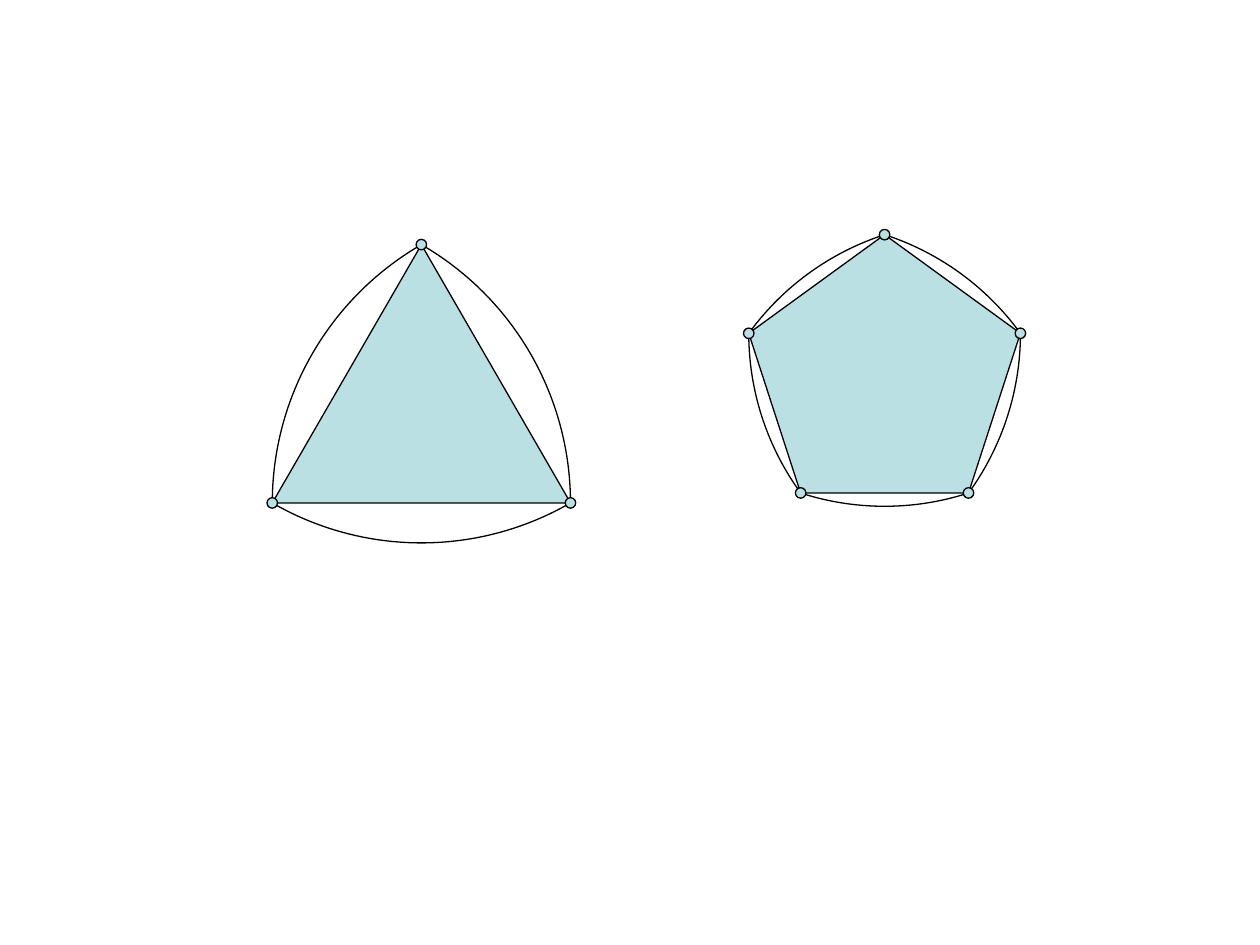
from dataclasses import dataclass
from math import cos, pi, radians, sin

from pptx import Presentation
from pptx.dml.color import RGBColor
from pptx.enum.shapes import MSO_SHAPE as Preset
from pptx.util import Pt


@dataclass(frozen=True)
class Theme:
    fill: RGBColor = RGBColor(0xBB, 0xE0, 0xE3)
    line: RGBColor = RGBColor(0x00, 0x00, 0x00)
    line_width: float = 0.75
    dot_size: float = 6


class Drawing:
    def __init__(self, slide, theme):
        self.slide = slide
        self.theme = theme

    def shape(self, preset, left, top, width, height, filled=True):
        shape = self.slide.shapes.add_shape(preset, Pt(left), Pt(top), Pt(width), Pt(height))
        shape.shadow.inherit = False
        if filled:
            shape.fill.solid()
            shape.fill.fore_color.rgb = self.theme.fill
        else:
            shape.fill.background()
        shape.line.color.rgb = self.theme.line
        shape.line.width = Pt(self.theme.line_width)
        return shape

    def dot(self, x, y):
        size = self.theme.dot_size
        self.shape(Preset.OVAL, x - size / 2, y - size / 2, size, size)

    def arc(self, x, y, radius, start, end):
        shape = self.shape(Preset.ARC, x - radius, y - radius, 2 * radius, 2 * radius, filled=False)
        for index, degrees in enumerate((start, end)):
            shape.adjustments[index] = degrees % 360 * 60000 / 100000

    def reuleaux(self, preset, sides, x, y, circumradius):
        width = 2 * circumradius * cos(pi / (2 * sides))
        height = circumradius * (1 + cos(pi / sides))
        self.shape(preset, x - width / 2, y - circumradius, width, height)

        directions = [-90 + 360 * index / sides for index in range(sides)]
        vertices = [
            (x + circumradius * cos(radians(direction)), y + circumradius * sin(radians(direction)))
            for direction in directions
        ]
        half_span = 90 / sides
        for vertex, direction in zip(vertices, directions):
            opposite = direction + 180
            self.arc(*vertex, width, opposite - half_span, opposite + half_span)
        for vertex in vertices:
            self.dot(*vertex)


def main():
    presentation = Presentation()
    presentation.slide_width = Pt(720)
    presentation.slide_height = Pt(540)
    slide = presentation.slides.add_slide(presentation.slide_layouts[6])
    drawing = Drawing(slide, Theme())
    drawing.reuleaux(Preset.ISOSCELES_TRIANGLE, 3, 240.8, 238.2, 98.4)
    drawing.reuleaux(Preset.REGULAR_PENTAGON, 5, 505.5, 215.7, 81.6)
    presentation.save("out.pptx")


if __name__ == "__main__":
    main()
